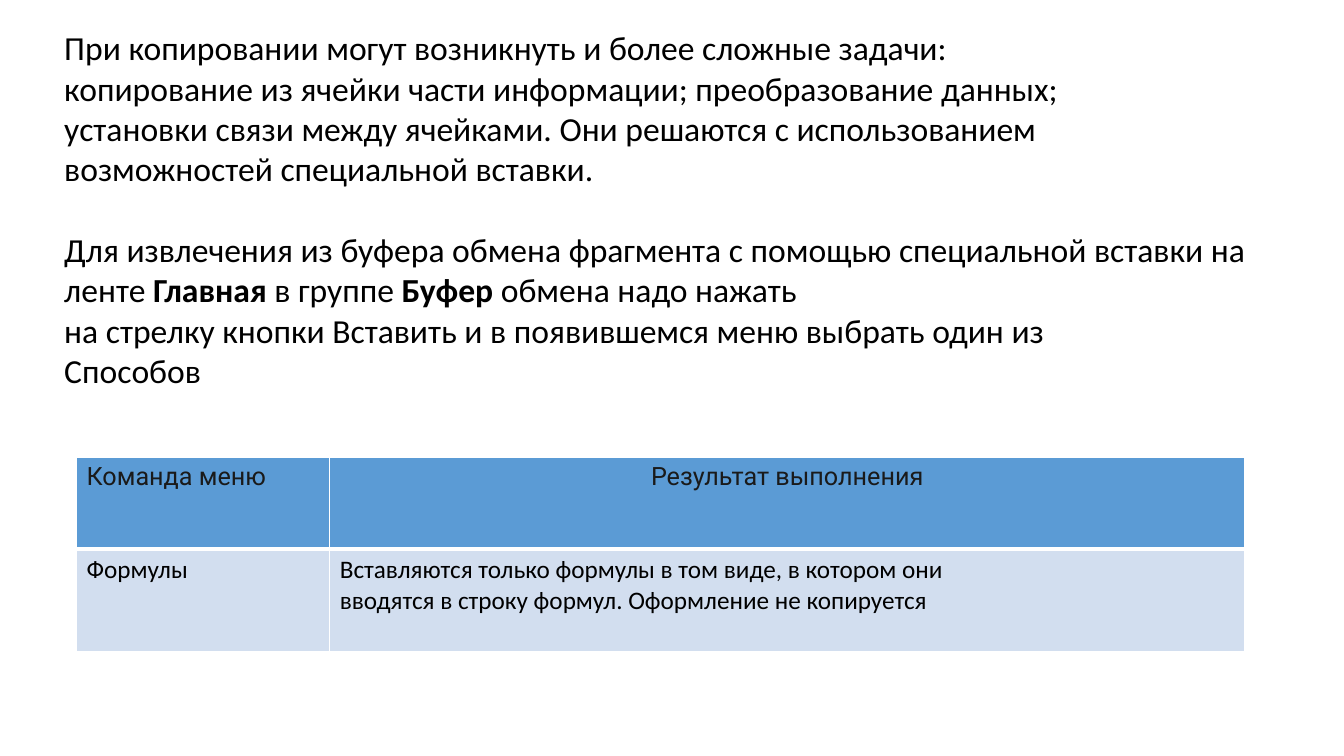
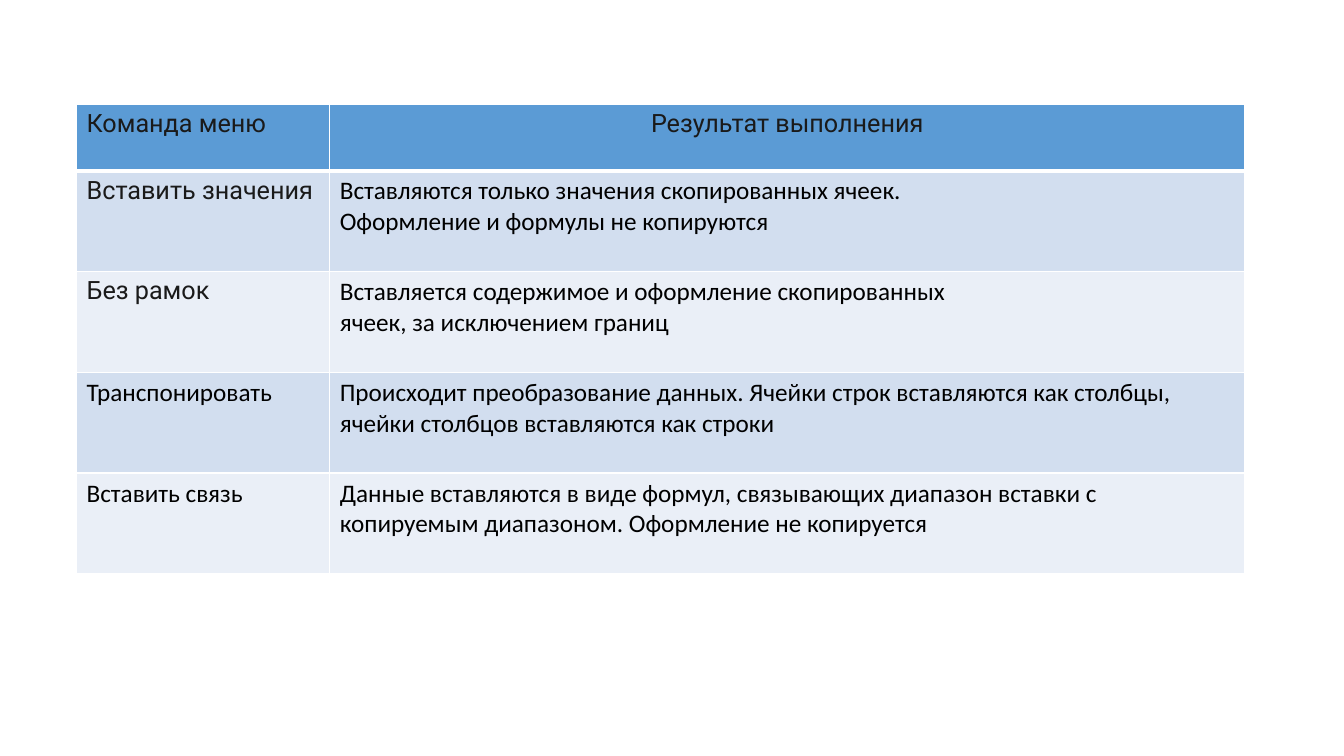
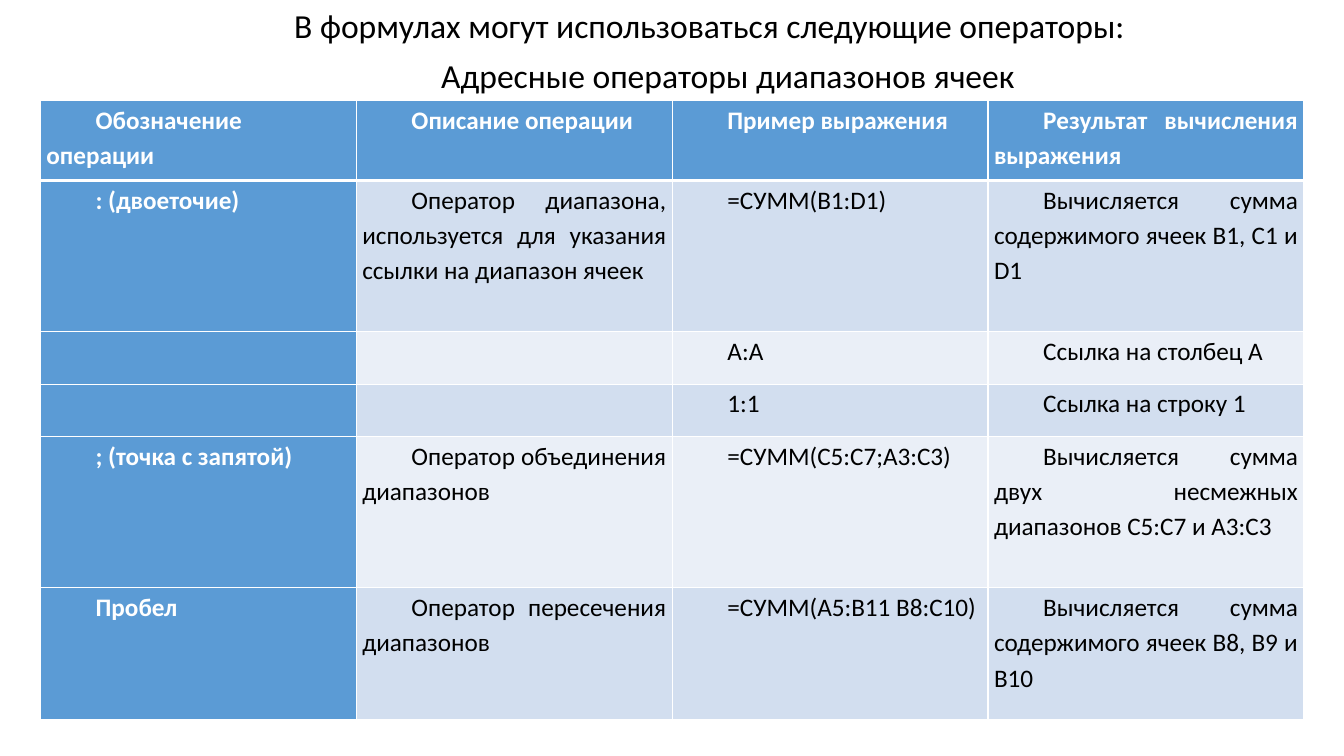
from dataclasses import dataclass

import pptx
import pptx.dml.color
import pptx.enum.text
import pptx.oxml
import pptx.oxml.ns
import pptx.util
from pptx.util import Cm

WHITE, BLACK, INK = "FFFFFF", "000000", "1A1A1A"
BLUE, BAND_DARK, BAND_LIGHT = "5B9BD5", "D2DEEF", "EAEFF7"
TITLE_ONLY, BLANK = 5, 6
ALIGN = pptx.enum.text.PP_ALIGN


@dataclass(frozen=True)
class Look:
    """Character formatting."""
    size: float = 18
    font: str = "Calibri"
    color: str = BLACK
    bold: bool = False


PLAIN = Look()
MENU = Look(font="Roboto", color=INK)
HEADER = Look(color=WHITE, bold=True)
LARGE = Look(size=24)
LARGE_BOLD = Look(size=24, bold=True)


@dataclass(frozen=True)
class Span:
    text: str
    look: Look = LARGE


@dataclass(frozen=True)
class Cell:
    lines: tuple[str, ...]
    look: Look = PLAIN
    align: ALIGN = ALIGN.LEFT
    fill: str | None = None


@dataclass(frozen=True)
class Grid:
    left: float
    top: float
    columns: tuple[float, ...]
    heights: tuple[float, ...]
    rows: tuple[tuple[Cell, ...], ...]
    formal: bool = False  # justified text with a first-line indent


def rgb(color: str):
    return pptx.dml.color.RGBColor.from_string(color)


def add_span(para, text: str, look: Look) -> None:
    span = para.add_run()
    span.text = text
    span.font.size = pptx.util.Pt(look.size)
    span.font.name = look.font
    span.font.bold = look.bold
    span.font.color.rgb = rgb(look.color)


def next_paragraph(frame, index: int):
    return frame.add_paragraph() if index else frame.paragraphs[0]


def fill_box(box, area: tuple[float, float, float, float],
             lines: list[list[Span]], gap_before: int | None = None) -> None:
    """Place a box and write its lines, with a gap before one of them."""
    box.left, box.top, box.width, box.height = map(Cm, area)
    frame = box.text_frame
    frame.word_wrap = True
    frame.auto_size = pptx.enum.text.MSO_AUTO_SIZE.NONE
    frame.vertical_anchor = pptx.enum.text.MSO_ANCHOR.TOP
    for index, spans in enumerate(lines):
        para = next_paragraph(frame, index)
        para.alignment = ALIGN.LEFT
        if index == gap_before:
            para.space_before = pptx.util.Pt(29)
        for span in spans:
            add_span(para, span.text, span.look)


def add_text(page, area: tuple[float, float, float, float],
             lines: list[list[Span]], gap_before: int | None = None) -> None:
    fill_box(page.shapes.add_textbox(0, 0, 0, 0), area, lines, gap_before)


def set_borders(cell, top: float, bottom: float) -> None:
    properties = cell._tc.get_or_add_tcPr()
    for side, points in (("L", 1), ("R", 1), ("T", top), ("B", bottom)):
        properties.append(pptx.oxml.parse_xml(
            f'<a:ln{side} {pptx.oxml.ns.nsdecls("a")} w="{pptx.util.Pt(points)}">'
            f'<a:solidFill><a:srgbClr val="{WHITE}"/></a:solidFill></a:ln{side}>'))


def write_cell(target, cell: Cell, formal: bool) -> None:
    if formal:
        target.margin_left = target.margin_right = Cm(0.15)
        target.margin_top = target.margin_bottom = 0
    for index, line in enumerate(cell.lines):
        para = next_paragraph(target.text_frame, index)
        para.alignment = ALIGN.JUSTIFY if formal else cell.align
        if formal:
            para.line_spacing = 1.15
            para._p.get_or_add_pPr().set("indent", str(Cm(1.24)))
        add_span(para, line, cell.look)


def add_grid(page, grid: Grid) -> None:
    frame = page.shapes.add_table(
        len(grid.rows), len(grid.columns), Cm(grid.left), Cm(grid.top),
        Cm(sum(grid.columns)), Cm(sum(grid.heights)))
    table = frame.table
    table.horz_banding = False
    for column, width in zip(table.columns, grid.columns):
        column.width = Cm(width)
    for row, cells in enumerate(grid.rows):
        table.rows[row].height = Cm(grid.heights[row])
        band = BLUE if row == 0 else (BAND_LIGHT, BAND_DARK)[row % 2]
        for column, cell in enumerate(cells):
            target = table.cell(row, column)
            set_borders(target, top=3 if row == 1 else 1, bottom=1 if row else 3)
            target.fill.solid()
            target.fill.fore_color.rgb = rgb(cell.fill or band)
            write_cell(target, cell, grid.formal)


def menu_grid(top: float, heights: tuple[float, ...],
              *rows: tuple[Cell, Cell]) -> Grid:
    """Table of paste commands with its shared header."""
    header = (Cell(("Команда меню",), MENU),
              Cell(("Результат выполнения",), MENU, ALIGN.CENTER))
    return Grid(1.93, top, (6.38, 23.06), heights, (header, *rows))


def operator_row(operator: str, *details: str, look: Look = PLAIN) -> tuple[Cell, ...]:
    """Row with a blue first cell; empty strings leave cells blank."""
    first = Cell((operator,) if operator else (), HEADER, fill=BLUE)
    return (first, *(Cell((text,) if text else (), look) for text in details))


def build_paste_intro(deck) -> None:
    page = deck.slides.add_slide(deck.slide_layouts[BLANK])
    add_text(page, (1.37, 0.56, 31.29, 12.57), [
        [Span("При копировании могут возникнуть и более сложные задачи:")],
        [Span("копирование из ячейки части информации; преобразование данных;")],
        [Span("установки связи между ячейками. Они решаются с использованием")],
        [Span("возможностей специальной вставки.")],
        [Span("Для извлечения из буфера обмена фрагмента с помощью специальной вставки на ленте "),
         Span("Главная ", LARGE_BOLD), Span("в группе "),
         Span("Буфер", LARGE_BOLD), Span(" обмена надо нажать")],
        [Span("на стрелку кнопки Вставить и в появившемся меню выбрать один из")],
        [Span("Способов")],
    ], gap_before=4)
    add_grid(page, menu_grid(
        11.53, (2.31, 2.57),
        (Cell(("Формулы",)),
         Cell(("Вставляются только формулы в том виде, в котором они",
               "вводятся в строку формул. Оформление не копируется")))))


def build_paste_commands(deck) -> None:
    page = deck.slides.add_slide(deck.slide_layouts[BLANK])
    add_grid(page, menu_grid(
        2.62, (1.68,) + (2.54,) * 4,
        (Cell(("Вставить значения",), MENU),
         Cell(("Вставляются только значения скопированных ячеек.",
               "Оформление и формулы не копируются"))),
        (Cell(("Без рамок",), MENU),
         Cell(("Вставляется содержимое и оформление скопированных",
               "ячеек, за исключением границ"))),
        (Cell(("Транспонировать",)),
         Cell(("Происходит преобразование данных. Ячейки строк вставляются как столбцы, "
               "ячейки столбцов вставляются как строки",))),
        (Cell(("Вставить связь",)),
         Cell(("Данные вставляются в виде формул, связывающих диапазон вставки с "
               "копируемым диапазоном. Оформление не копируется",)))))


def build_operators(deck) -> None:
    page = deck.slides.add_slide(deck.slide_layouts[TITLE_ONLY])
    fill_box(page.shapes.title, (7.16, 0, 21.82, 1.27),
             [[Span("В формулах могут использоваться следующие операторы:")]])
    add_grid(page, Grid(
        1.02, 2.54, (7.96,) * 4, (2.01, 3.81, 1.32, 1.32, 3.81, 3.33), (
            operator_row("Обозначение операции", "Описание операции",
                         "Пример выражения", "Результат вычисления выражения",
                         look=HEADER),
            operator_row(": (двоеточие)",
                         "Оператор диапазона, используется для указания ссылки на диапазон ячеек",
                         "=СУММ(B1:D1)", "Вычисляется сумма содержимого ячеек B1, C1 и D1"),
            operator_row("", "", "А:А", "Ссылка на столбец А"),
            operator_row("", "", "1:1", "Ссылка на строку 1"),
            operator_row("; (точка с запятой)", "Оператор объединения диапазонов",
                         "=СУММ(С5:С7;А3:С3)",
                         "Вычисляется сумма двух несмежных диапазонов С5:С7 и А3:С3"),
            operator_row("Пробел", "Оператор пересечения диапазонов",
                         "=СУММ(А5:В11 В8:С10)",
                         "Вычисляется сумма содержимого ячеек В8, В9 и В10"),
        ), formal=True))
    add_text(page, (10.87, 1.27, 15.11, 1.27),
             [[Span("Адресные операторы диапазонов ячеек")]])


def main() -> None:
    deck = pptx.Presentation()
    deck.slide_width, deck.slide_height = Cm(33.87), Cm(19.05)
    build_paste_intro(deck)
    build_paste_commands(deck)
    build_operators(deck)
    deck.save("out.pptx")


if __name__ == "__main__":
    main()
